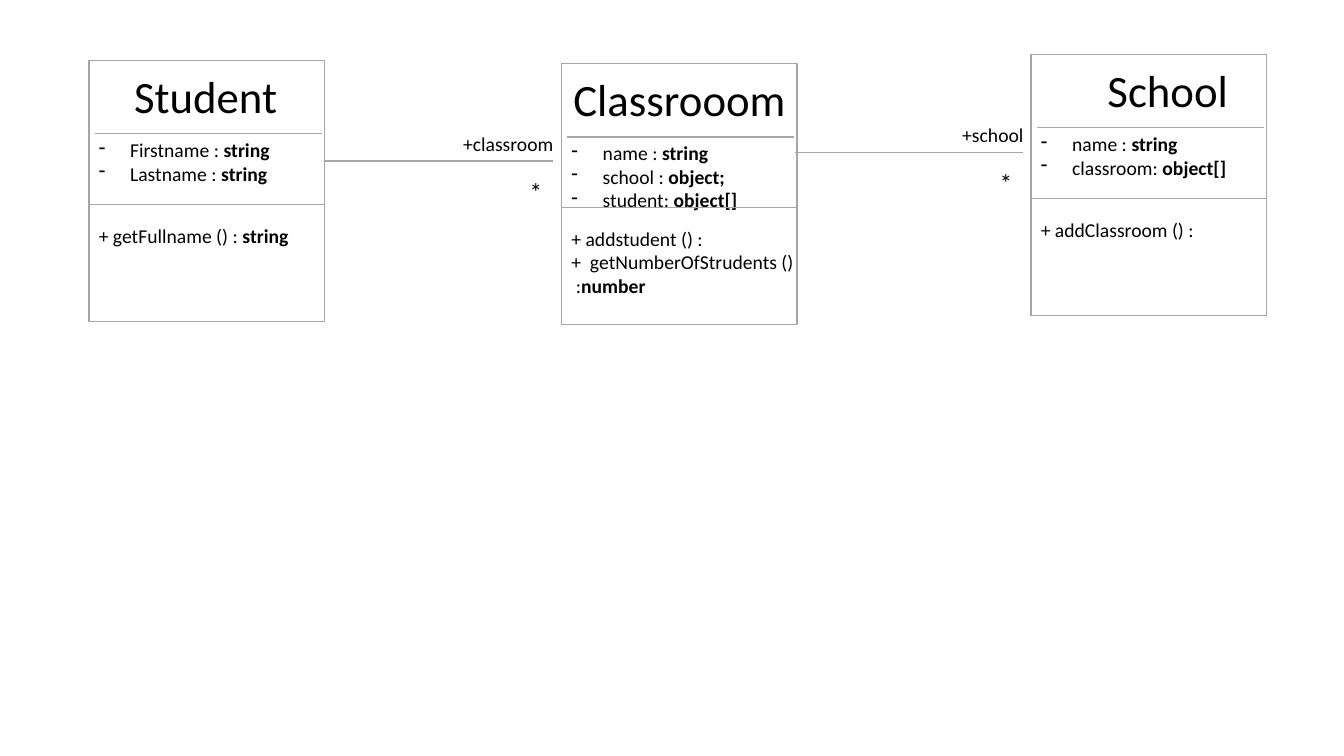
from dataclasses import dataclass

from lxml import etree
from pptx import Presentation
from pptx.dml.color import RGBColor
from pptx.enum.shapes import MSO_CONNECTOR, MSO_SHAPE
from pptx.enum.text import MSO_AUTO_SIZE
from pptx.oxml.ns import qn
from pptx.util import Cm, Pt

STRAIGHT = MSO_CONNECTOR.STRAIGHT
RECTANGLE = MSO_SHAPE.RECTANGLE
FIT_SHAPE = MSO_AUTO_SIZE.SHAPE_TO_FIT_TEXT


@dataclass(frozen=True)
class Theme:
    font: str = "Calibri"
    text: RGBColor = RGBColor(0x00, 0x00, 0x00)
    paper: RGBColor = RGBColor(0xFF, 0xFF, 0xFF)
    border: RGBColor = RGBColor(0xA5, 0xA5, 0xA5)
    rule: RGBColor = RGBColor(0xA6, 0xA6, 0xA6)
    line_width: Pt = Pt(1)
    title: Pt = Pt(32)
    body: Pt = Pt(14)
    multiplicity: Pt = Pt(18)


THEME = Theme()
CLASS_WIDTH, CLASS_HEIGHT = Cm(5.94), Cm(6.58)
LINK_LENGTH = Cm(5.74)
LINE_HEIGHT = Cm(0.59)
PADDING = Cm(0.27)

# Title offset and width, then the widths of the two member lists.
# Every member is a pair of plain and bold text.
CLASSES = [
    dict(left=Cm(2.24), top=Cm(1.52), title="Student",
         title_offset=Cm(0.89), title_width=Cm(4.17),
         attributes=[("Firstname : ", "string"), ("Lastname : ", "string")],
         attributes_width=Cm(4.98),
         methods=[("+ getFullname () : ", "string")], methods_width=Cm(5.33)),
    dict(left=Cm(14.15), top=Cm(1.6), title="Classrooom",
         title_offset=Cm(0.05), title_width=Cm(5.92),
         attributes=[("name : ", "string"), ("school : ", "object;"),
                     ("student: ", "object[]")],
         attributes_width=Cm(4.75),
         methods=[("+ addstudent () :", ""), ("+  getNumberOfStrudents ()", ""),
                  (" :", "number")], methods_width=Cm(6.17)),
    dict(left=Cm(25.98), top=Cm(1.37), title="School",
         title_offset=Cm(1.68), title_width=Cm(3.58),
         attributes=[("name : ", "string"), ("classroom: ", "object[]")],
         attributes_width=Cm(5.23),
         methods=[("+ addClassroom () :", "")], methods_width=Cm(4.39)),
]
ASSOCIATIONS = [
    dict(left=Cm(8.2), top=Cm(4.06), role="+classroom", role_width=Cm(2.82)),
    dict(left=Cm(20.04), top=Cm(3.84), role="+school", role_width=Cm(2.08)),
]


def add_rule(slide, left, top, length):
    rule = slide.shapes.add_connector(STRAIGHT, left, top, left + length, top)
    rule.line.color.rgb = THEME.rule
    rule.line.width = THEME.line_width
    etree.SubElement(rule._element.spPr, qn("a:effectLst"))


def add_dash(paragraph):
    properties = paragraph._p.get_or_add_pPr()
    properties.set("marL", str(Cm(0.79)))
    properties.set("indent", str(-Cm(0.79)))
    etree.SubElement(properties, qn("a:buFontTx"))
    etree.SubElement(properties, qn("a:buChar")).set("char", "-")


def add_lines(slide, left, top, width, height, lines, size, dashed=False):
    """Write lines given as pairs of plain and bold text."""
    frame = slide.shapes.add_textbox(left, top, width, height).text_frame
    frame.word_wrap = False
    frame.auto_size = FIT_SHAPE
    for index, parts in enumerate(lines):
        paragraph = frame.add_paragraph() if index else frame.paragraphs[0]
        if dashed:
            add_dash(paragraph)
        for part, bold in zip(parts, (False, True)):
            if part:
                run = paragraph.add_run()
                run.text = part
                run.font.name = THEME.font
                run.font.size = size
                run.font.bold = bold
                run.font.color.rgb = THEME.text


def add_class(slide, left, top, title, title_offset, title_width,
              attributes, attributes_width, methods, methods_width):
    frame = slide.shapes.add_shape(RECTANGLE, left, top, CLASS_WIDTH, CLASS_HEIGHT)
    frame.shadow.inherit = False
    frame.fill.solid()
    frame.fill.fore_color.rgb = THEME.paper
    frame.line.color.rgb = THEME.border
    frame.line.width = THEME.line_width

    add_lines(slide, left + title_offset, top + Cm(0.08), title_width, Cm(1.63),
              [(title, "")], THEME.title)
    add_rule(slide, left + Cm(0.15), top + Cm(1.85), Cm(5.72))
    add_lines(slide, left, top + Cm(1.83), attributes_width,
              LINE_HEIGHT * len(attributes) + PADDING * 2,
              attributes, THEME.body, dashed=True)
    add_rule(slide, left, top + Cm(3.63), CLASS_WIDTH)
    add_lines(slide, left, top + Cm(3.99), methods_width,
              LINE_HEIGHT * len(methods) + PADDING, methods, THEME.body)


def add_association(slide, left, top, role, role_width):
    end = left + LINK_LENGTH
    add_rule(slide, left, top, LINK_LENGTH)
    add_lines(slide, end - Cm(0.84), top + Cm(0.25), Cm(0.84), Cm(1.02),
              [("*", "")], THEME.multiplicity)
    add_lines(slide, end + Cm(0.3) - role_width, top - Cm(0.86), role_width,
              LINE_HEIGHT + PADDING, [(role, "")], THEME.body)


def main():
    presentation = Presentation()
    presentation.slide_width, presentation.slide_height = Cm(33.87), Cm(19.05)
    slide = presentation.slides.add_slide(presentation.slide_layouts[6])
    for class_parts in CLASSES:
        add_class(slide, **class_parts)
    for association in ASSOCIATIONS:
        add_association(slide, **association)
    presentation.save("out.pptx")


if __name__ == "__main__":
    main()
